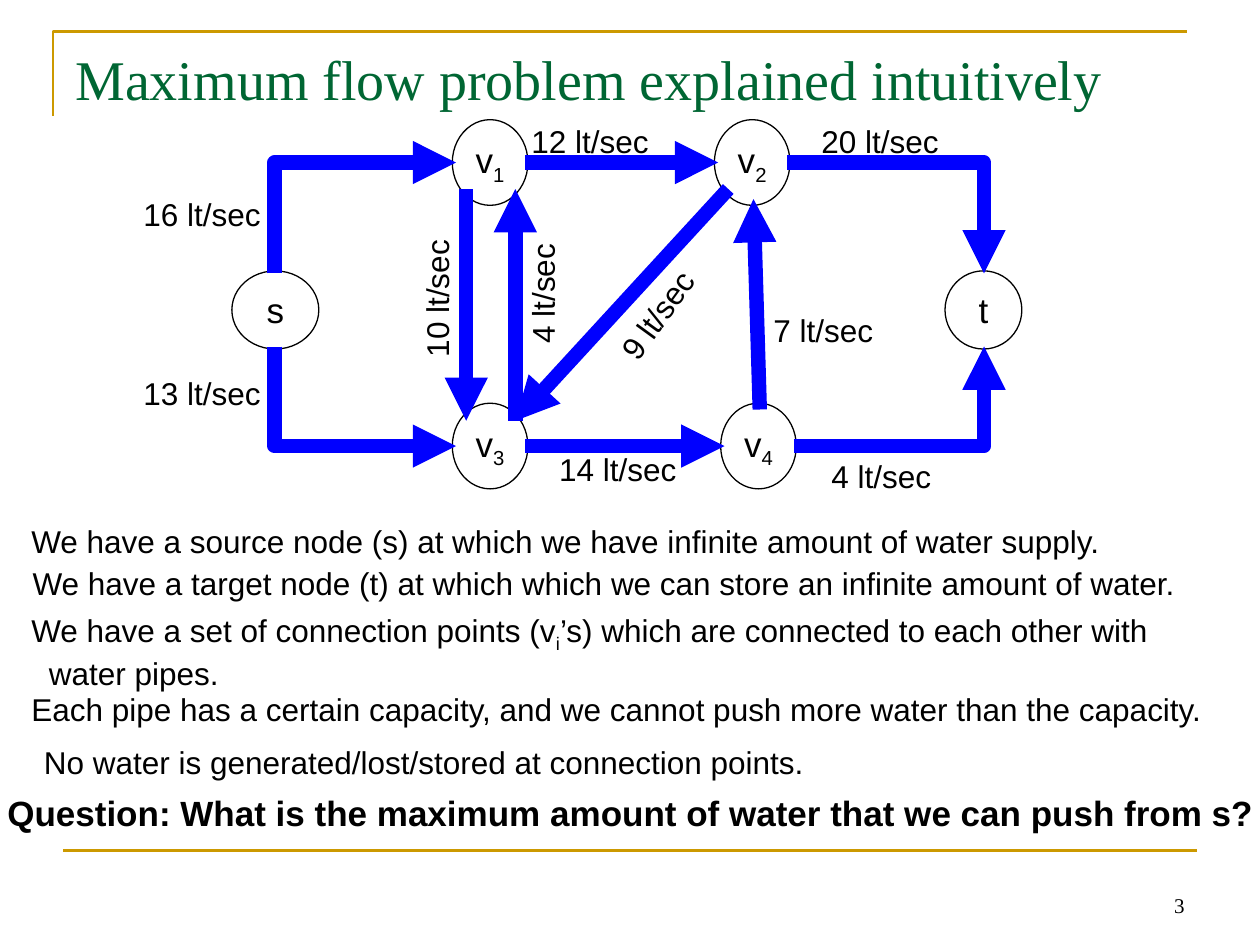
from lxml.etree import SubElement
from pptx import Presentation
from pptx.dml.color import RGBColor
from pptx.enum.shapes import MSO_CONNECTOR, MSO_SHAPE
from pptx.enum.text import MSO_ANCHOR, PP_ALIGN
from pptx.oxml.ns import qn
from pptx.util import Inches, Pt

HUES = {"gold": "CC9900", "green": "006633", "black": "000000", "blue": "0000FF"}
SERIF, SANS = "Times New Roman", "Arial"
LINE_H = 0.4

# name, index, left, top, width, height
NODES = [
    ("s", "", 1.84, 2.15, 0.69, 0.62),
    ("v", "1", 3.59, 0.95, 0.6, 0.68),
    ("v", "3", 3.59, 3.2, 0.6, 0.68),
    ("v", "2", 5.67, 0.95, 0.6, 0.68),
    ("v", "4", 5.72, 3.2, 0.6, 0.68),
    ("t", "", 7.5, 2.15, 0.61, 0.62),
]
# start x, y, end x, y
PIPES = [
    (4.17, 1.29, 5.7, 1.29),
    (4.17, 3.54, 5.75, 3.54),
    (3.7, 1.5, 3.7, 3.34),
    (4.09, 3.34, 4.09, 1.5),
    (6.03, 3.25, 5.98, 1.58),
    (5.78, 1.5, 4.09, 3.34),
]
# start x, y, end x, y, first leg upright
BENDS = [
    (2.18, 2.17, 3.62, 1.29, True),
    (2.18, 2.75, 3.62, 3.54, True),
    (6.25, 1.29, 7.81, 2.17, False),
    (6.3, 3.54, 7.81, 2.75, False),
]
# litres per second, left, top, turn
RATES = [
    (13, 1.04, 2.92, 0),
    (16, 1.04, 1.5, 0),
    (12, 4.12, 0.92, 0),
    (20, 6.42, 0.92, 0),
    (4, 6.5, 3.58, 0),
    (14, 4.34, 3.52, 0),
    (7, 6.04, 2.42, 0),
    (10, 2.9, 2.17, 270),
    (4, 3.81, 2.13, 270),
    (9, 4.72, 2.3, 306),
]
# left, top, width, text
NOTES = [
    (0.15, 4.09, 8.7, "We have a source node (s) at which we have infinite amount of water supply."),
    (0.16, 4.43, 9.29, "We have a target node (t) at which which we can store an infinite amount of water."),
    (0.15, 5.43, 9.52, "Each pipe has a certain capacity, and we cannot push more water than the capacity."),
    (0.25, 5.85, 6.23, "No water is generated/lost/stored at connection points."),
]


def tint(hue):
    return RGBColor.from_string(HUES[hue])


def add_run(para, text, size=18, face=SANS, hue="black", bold=False, sub=False):
    run = para.add_run()
    run.text = text
    font = run.font
    font.size, font.name, font.bold = Pt(size), face, bold
    font.color.rgb = tint(hue)
    if sub:
        run._r.get_or_add_rPr().set("baseline", "-25000")


def add_box(slide, left, top, width, height=LINE_H, wrap=False):
    box = slide.shapes.add_textbox(*map(Inches, (left, top, width, height)))
    box.text_frame.word_wrap = wrap
    return box


def add_text(slide, text, left, top, width, height=LINE_H, wrap=False, **style):
    box = add_box(slide, left, top, width, height, wrap)
    add_run(box.text_frame.paragraphs[0], text, **style)
    return box


def add_line(slide, ends, hue, weight, kind=MSO_CONNECTOR.STRAIGHT):
    line = slide.shapes.add_connector(kind, *map(Inches, ends))
    line.line.color.rgb = tint(hue)
    line.line.width = Pt(weight)
    SubElement(line._element.spPr, qn("a:effectLst"))
    return line


def add_pipe(slide, ends, kind=MSO_CONNECTOR.STRAIGHT):
    pipe = add_line(slide, ends, "blue", 8.25, kind)
    SubElement(pipe.line._get_or_add_ln(), qn("a:tailEnd"), type="triangle")
    return pipe


def add_bend(slide, x1, y1, x2, y2, upright):
    """Pipe with one corner; an upright first leg is a flat one turned by 270 degrees."""
    ends = x1, y1, x2, y2
    if upright:
        mid_x, mid_y = (x1 + x2) / 2, (y1 + y2) / 2
        half_x, half_y = (x2 - x1) / 2, (y2 - y1) / 2
        ends = mid_x + half_y, mid_y - half_x, mid_x - half_y, mid_y + half_x
    props = add_pipe(slide, ends, MSO_CONNECTOR.ELBOW)._element.spPr
    props.find(qn("a:prstGeom")).set("prst", "bentConnector2")
    if upright:
        props.find(qn("a:xfrm")).set("rot", str(270 * 60000))


def add_node(slide, name, index, *place):
    node = slide.shapes.add_shape(MSO_SHAPE.OVAL, *map(Inches, place))
    node.shadow.inherit = False
    node.fill.background()
    node.line.color.rgb = tint("black")
    node.line.width = Pt(0.75)
    frame = node.text_frame
    frame.word_wrap = False
    frame.vertical_anchor = MSO_ANCHOR.MIDDLE
    para = frame.paragraphs[0]
    para.alignment = PP_ALIGN.CENTER
    add_run(para, name, size=20)
    if index:
        add_run(para, index, size=20, sub=True)


def add_rate(slide, rate, left, top, turn):
    width = 1.13 if rate > 9 else 0.99
    add_text(slide, f"{rate} lt/sec", left, top, width).rotation = turn


def add_frame(slide):
    pen = slide.shapes.build_freeform(Inches(0.42), Inches(0.92))
    corner = [(Inches(0.42), Inches(0.25)), (Inches(9.42), Inches(0.25))]
    pen.add_line_segments(corner, close=False)
    edge = pen.convert_to_shape()
    edge.shadow.inherit = False
    edge.fill.background()
    edge.line.color.rgb = tint("gold")
    edge.line.width = Pt(1.5)
    add_line(slide, (0.5, 6.75, 9.5, 6.75), "gold", 1.5)
    page = add_text(slide, "3", 7.17, 6.83, 2.33, 0.5, True, size=12, face=SERIF)
    page.text_frame.vertical_anchor = MSO_ANCHOR.BOTTOM
    page.text_frame.paragraphs[0].alignment = PP_ALIGN.RIGHT


def add_points(slide):
    """Two-line note on the connection points, its second line indented."""
    frame = add_box(slide, 0.15, 4.8, 9.14, 0.74).text_frame
    first, second = frame.paragraphs[0], frame.add_paragraph()
    add_run(first, "We have a set of connection points (v")
    add_run(first, "i", sub=True)
    add_run(first, "’s) which are connected to each other with")
    add_run(second, "water pipes.")
    second._p.get_or_add_pPr().set("marL", str(Inches(0.14)))


def main():
    deck = Presentation()
    deck.slide_width, deck.slide_height = Inches(10), Inches(7.5)
    slide = deck.slides.add_slide(deck.slide_layouts[6])
    add_frame(slide)
    add_text(slide, "Maximum flow problem explained intuitively", 0.5, 0.3, 9, 1.25,
             True, size=32, face=SERIF, hue="green")
    for node in NODES:
        add_node(slide, *node)
    for bend in BENDS:
        add_bend(slide, *bend)
    for pipe in PIPES:
        add_pipe(slide, pipe)
    for rate in RATES:
        add_rate(slide, *rate)
    for left, top, width, text in NOTES:
        add_text(slide, text, left, top, width)
    add_points(slide)
    add_text(slide, "Question: What is the maximum amount of water that we can push from s?",
             -0.04, 6.23, 10.17, 0.44, size=20, bold=True)
    deck.save("out.pptx")


if __name__ == "__main__":
    main()
